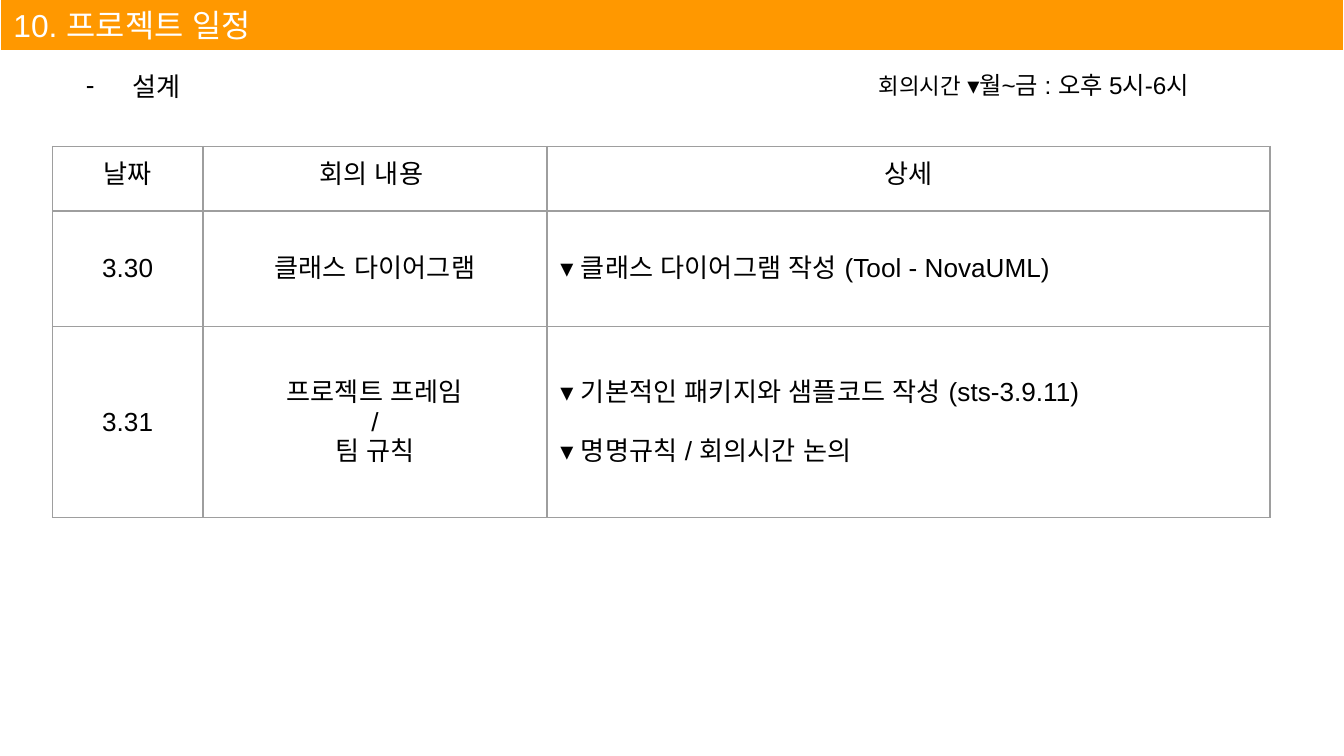
from lxml import etree
from pptx import Presentation
from pptx.dml.color import RGBColor
from pptx.enum.text import MSO_ANCHOR, MSO_AUTO_SIZE, PP_ALIGN
from pptx.oxml import parse_xml
from pptx.oxml.ns import nsdecls, qn
from pptx.util import Inches, Pt

LEFT, CENTER = PP_ALIGN.LEFT, PP_ALIGN.CENTER
TOP, MIDDLE = MSO_ANCHOR.TOP, MSO_ANCHOR.MIDDLE
FONT = "Arial"
INSET = Inches(0.1)
MARGIN = 0.39
SUBHEAD_TOP, SUBHEAD_HEIGHT = 0.42, 0.32


def write(frame, *lines, sizes=(14,), color="000000", align=LEFT, anchor=TOP, gap=0, bullet=None):
    """Each line is a string or a tuple of runs; sizes go run by run."""
    frame.word_wrap = True
    frame.auto_size = MSO_AUTO_SIZE.NONE
    frame.vertical_anchor = anchor
    frame.margin_left = frame.margin_right = INSET
    frame.margin_top = frame.margin_bottom = INSET
    for i, line in enumerate(lines):
        paragraph = frame.add_paragraph() if i else frame.paragraphs[0]
        paragraph.alignment = align
        paragraph.space_before = Pt(gap if i else 0)
        if bullet:
            properties = paragraph._p.get_or_add_pPr()
            properties.set("marL", str(Inches(0.5)))
            properties.set("indent", str(-Inches(0.35)))
            bullet_color = etree.SubElement(properties, qn("a:buClr"))
            etree.SubElement(bullet_color, qn("a:srgbClr")).set("val", color)
            etree.SubElement(properties, qn("a:buFont")).set("typeface", FONT)
            etree.SubElement(properties, qn("a:buChar")).set("char", bullet)
        for words, size in zip((line,) if isinstance(line, str) else line, sizes):
            run = paragraph.add_run()
            run.text = words
            run.font.size = Pt(size)
            run.font.color.rgb = RGBColor.from_string(color)
            run.font.name = FONT
            for script in ("a:ea", "a:cs"):
                etree.SubElement(run.font._element, qn(script)).set("typeface", FONT)


prs = Presentation()
prs.slide_width = Inches(10)
prs.slide_height = prs.slide_width * 9 // 16
slide = prs.slides.add_slide(prs.slide_layouts[5])

# Title bar across the full width
title = slide.shapes.title
title.left, title.top = 0, Inches(-0.01)
title.width, title.height = prs.slide_width, Inches(0.39)
title.fill.solid()
title.fill.fore_color.rgb = RGBColor.from_string("FF9800")
title.line.color.rgb = RGBColor.from_string("FFFFFF")
title.line.width = Pt(0.75)
write(title.text_frame, "10. 프로젝트 일정", sizes=(17,), color="FFFFFF", anchor=MIDDLE)

# Phase on the left, meeting hours on the right
subheads = [
    (MARGIN, 1.16, "설계", dict(bullet="-")),
    (6.44, 3.28, ("회의시간 ", "▾월~금 : 오후 5시-6시"), dict(sizes=(12, 13))),
]
for left, width, words, style in subheads:
    box = slide.shapes.add_textbox(
        Inches(left), Inches(SUBHEAD_TOP), Inches(width), Inches(SUBHEAD_HEIGHT))
    write(box.text_frame, words, **style)

# Meeting schedule
column_widths = [1.12, 2.56, 5.38]
row_heights = [0.48, 0.86, 1.42]
meetings = [
    [["날짜"], ["회의 내용 "], ["상세"]],
    [["3.30"], ["클래스 다이어그램"], ["▾ 클래스 다이어그램 작성 (Tool - NovaUML)"]],
    [["3.31"], ["프로젝트 프레임", "/", "팀 규칙"],
     ["▾ 기본적인 패키지와 샘플코드 작성 (sts-3.9.11)", "▾ 명명규칙 / 회의시간 논의"]],
]
schedule = slide.shapes.add_table(
    len(row_heights), len(column_widths), Inches(MARGIN), Inches(1.09),
    Inches(sum(column_widths)), Inches(sum(row_heights))).table
schedule.first_row = schedule.horz_banding = False
for column, width in zip(schedule.columns, column_widths):
    column.width = Inches(width)
for row, height in zip(schedule.rows, row_heights):
    row.height = Inches(height)

for r, meeting in enumerate(meetings):
    for c, lines in enumerate(meeting):
        cell = schedule.cell(r, c)
        is_detail = r > 0 and c == 2
        write(cell.text_frame, *lines, align=LEFT if is_detail else CENTER,
              gap=16 if is_detail else 0)
        cell.vertical_anchor = MIDDLE if r else TOP
        cell.margin_left = cell.margin_right = INSET
        cell.margin_top = cell.margin_bottom = INSET
        for side in "LRTB":
            cell._tc.get_or_add_tcPr().append(parse_xml(
                f'<a:ln{side} {nsdecls("a")} w="{Pt(0.75)}"><a:solidFill>'
                f'<a:srgbClr val="9E9E9E"/></a:solidFill></a:ln{side}>'))
        cell.fill.background()

prs.save("out.pptx")
